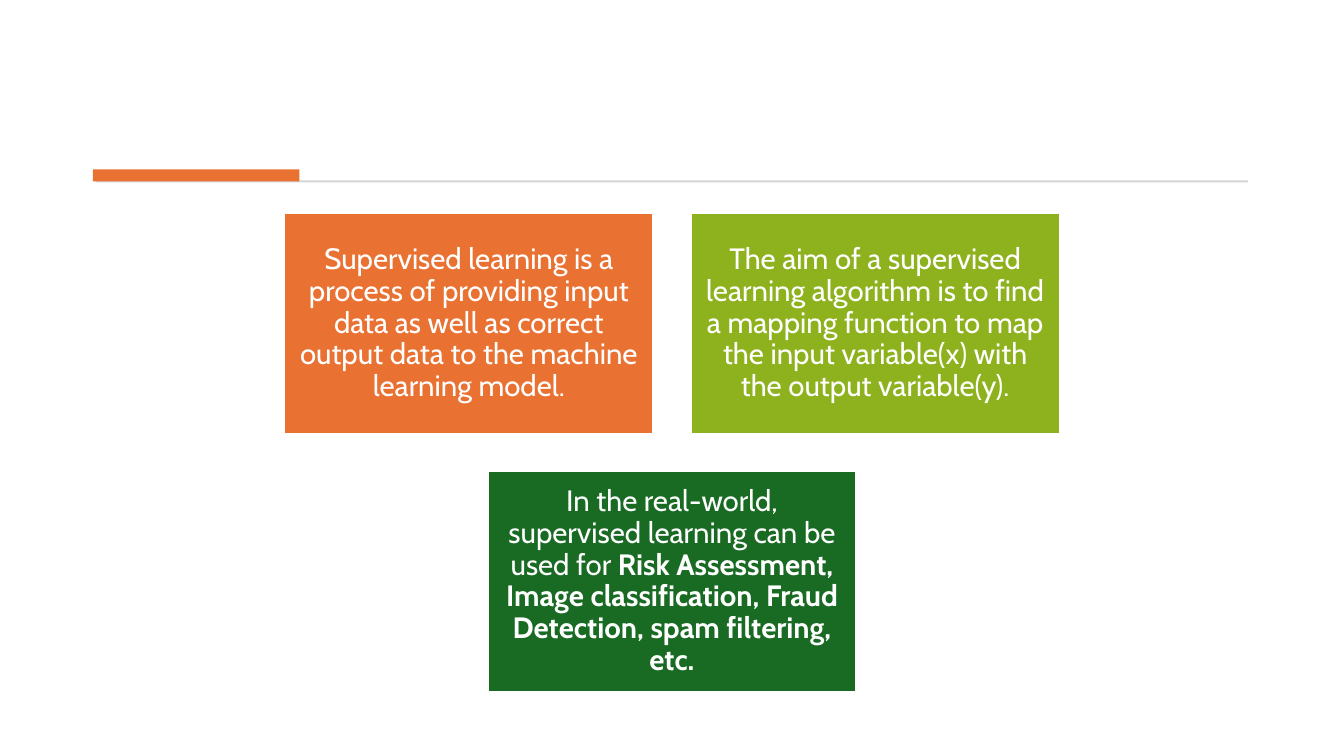
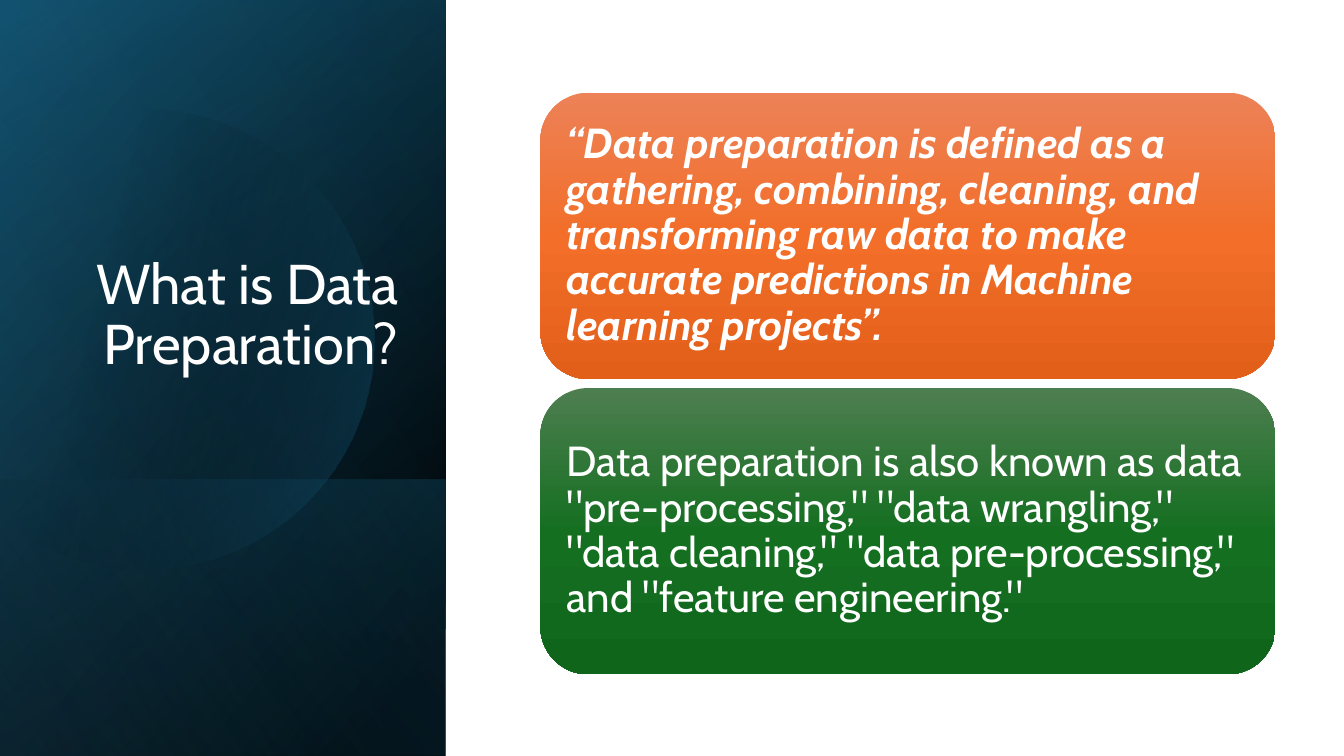
import math
from dataclasses import dataclass

from lxml import etree
from pptx import Presentation
from pptx.dml.color import RGBColor
from pptx.enum import shapes, text
from pptx.oxml import ns
from pptx.util import Inches, Pt

FONT = "Cabin"
COLORS = {
    "white": "FFFFFF", "black": "000000", "rule": "D5D5D5",
    "orange": "E97132", "lime": "8EB21E", "green": "196B24",
    "navy": "104862", "teal": "156082", "sky": "46B1E1",
    "orange_top": "ED8257", "orange_mid": "F26E29", "orange_low": "E25F1A",
    "green_top": "4D7E50", "green_mid": "156F21", "green_low": "0F661B",
}
SLIDE_WIDTH, SLIDE_HEIGHT = 13.33, 7.5
PANEL_WIDTH = 4.42
RECTANGLE = shapes.MSO_SHAPE.RECTANGLE
ROUNDED = shapes.MSO_SHAPE.ROUNDED_RECTANGLE


@dataclass(frozen=True)
class Stop:
    position: int
    color: str
    opacity: int = 100


@dataclass(frozen=True)
class Run:
    text: str
    bold: bool = False
    italic: bool = False


@dataclass(frozen=True)
class Card:
    color: str
    runs: tuple[Run, ...]


@dataclass(frozen=True)
class Band:
    top: float
    angle: float
    stops: tuple[Stop, ...]


CARD_ROWS = (
    (
        Card("orange", (Run("Supervised learning is a process of providing input data as "
                            "well as correct output data to the machine learning model."),)),
        Card("lime", (Run("The aim of a supervised learning algorithm is to find a mapping "
                          "function to map the input variable(x) with the output variable(y)."),)),
    ),
    (
        Card("green", (Run("In the real-world, supervised learning can be used for "),
                       Run("Risk Assessment, Image classification, Fraud Detection, "
                           "spam filtering, etc.", bold=True))),
    ),
)
DEFINITIONS = (
    Card("orange", (Run("“Data preparation is defined as a gathering, combining, cleaning, and "
                        "transforming raw data to make accurate predictions in Machine learning "
                        "projects”.", bold=True, italic=True),)),
    Card("green", (Run('Data preparation is also known as data "pre-processing," "data '
                       'wrangling," "data cleaning," "data pre-processing," and '
                       '"feature engineering."'),)),
)
BANDS_BELOW = (
    Band(0, 50, (Stop(8, "black"), Stop(100, "navy"))),
    Band(0, 30, (Stop(0, "black", 0), Stop(99, "teal", 46))),
    Band(4.76, 130, (Stop(2, "teal", 29), Stop(100, "black", 30))),
)
BAND_ABOVE = Band(0, 120, (Stop(0, "black", 0), Stop(99, "sky", 11)))


def rgb(name: str) -> RGBColor:
    return RGBColor.from_string(COLORS[name])


def add_box(slide, kind, left: float, top: float, width: float, height: float,
            color: str = "white"):
    shape = slide.shapes.add_shape(kind, Inches(left), Inches(top), Inches(width), Inches(height))
    shape.shadow.inherit = False
    shape.fill.solid()
    shape.fill.fore_color.rgb = rgb(color)
    shape.line.fill.background()
    return shape


def set_gradient(shape, stops: tuple[Stop, ...], angle: float) -> None:
    shape.fill.gradient()
    properties = shape._element.spPr
    gradient = etree.Element(ns.qn("a:gradFill"), rotWithShape="1")
    stop_list = etree.SubElement(gradient, ns.qn("a:gsLst"))
    for stop in stops:
        entry = etree.SubElement(stop_list, ns.qn("a:gs"), pos=str(stop.position * 1000))
        color = etree.SubElement(entry, ns.qn("a:srgbClr"), val=COLORS[stop.color])
        if stop.opacity < 100:
            etree.SubElement(color, ns.qn("a:alpha"), val=str(stop.opacity * 1000))
    etree.SubElement(gradient, ns.qn("a:lin"), ang=str(round(angle * 60000)), scaled="0")
    properties.replace(properties.find(ns.qn("a:gradFill")), gradient)


def write_text(shape, runs: tuple[Run, ...], size: int, align, anchor, margin: float) -> None:
    frame = shape.text_frame
    frame.word_wrap = True
    frame.vertical_anchor = anchor
    frame.margin_left = frame.margin_right = Inches(margin)
    frame.margin_top = frame.margin_bottom = Inches(margin)
    paragraph = frame.paragraphs[0]
    paragraph.alignment = align
    paragraph.line_spacing = 0.9
    for item in runs:
        run = paragraph.add_run()
        run.text = item.text
        run.font.name = FONT
        run.font.size = Pt(size)
        run.font.bold = item.bold
        run.font.italic = item.italic
        run.font.color.rgb = rgb("white")


def add_band(slide, band: Band) -> None:
    """Add a panel-wide band, turned a quarter and mirrored, down to the slide's foot."""
    length = SLIDE_HEIGHT - band.top
    left = (PANEL_WIDTH - length) / 2
    top = band.top + (length - PANEL_WIDTH) / 2
    shape = add_box(slide, RECTANGLE, left, top, length, PANEL_WIDTH)
    shape.rotation = 90
    shape._element.spPr.find(ns.qn("a:xfrm")).set("flipH", "1")
    set_gradient(shape, band.stops, band.angle)


def add_disc(slide) -> None:
    """Add the translucent disc, cut off at the slide's left edge."""
    center_x, center_y, radius = 1.43, 3.37, 2.28
    limit = math.acos(-center_x / radius)
    steps = 120
    angles = [limit * (2 * step / steps - 1) for step in range(steps + 1)]
    points = [(Inches(center_x + radius * math.cos(angle)),
               Inches(center_y + radius * math.sin(angle))) for angle in angles]
    builder = slide.shapes.build_freeform(*points[0])
    builder.add_line_segments(points[1:], close=True)
    shape = builder.convert_to_shape()
    shape.shadow.inherit = False
    shape.line.fill.background()
    set_gradient(shape, (Stop(29, "black", 0), Stop(100, "teal", 43)), 13.9)


def build_supervised_learning(slide) -> None:
    # Header rule with its accent
    add_box(slide, RECTANGLE, 0.95, 1.79, 11.43, 0.02, "rule")
    add_box(slide, RECTANGLE, 0.92, 1.68, 2.05, 0.12, "orange")

    # Centred rows of cards
    width, height, gap = 3.66, 2.2, 0.37
    for row, cards in enumerate(CARD_ROWS):
        row_width = len(cards) * (width + gap) - gap
        for column, card in enumerate(cards):
            left = (SLIDE_WIDTH - row_width) / 2 + column * (width + gap)
            shape = add_box(slide, RECTANGLE, left, 2.11 + row * 2.56, width, height, card.color)
            shape.line.color.rgb = rgb("white")
            shape.line.width = Pt(1.5)
            write_text(shape, card.runs, 21, text.PP_ALIGN.CENTER, text.MSO_ANCHOR.MIDDLE, 0.09)


def build_data_preparation(slide) -> None:
    # Dark side panel
    for band in BANDS_BELOW:
        add_band(slide, band)
    add_disc(slide)
    add_band(slide, BAND_ABOVE)

    # Title
    title = slide.shapes.add_textbox(Inches(0.64), Inches(1.84), Inches(3.41), Inches(2))
    write_text(title, (Run("What is Data Preparation?"),), 40,
               text.PP_ALIGN.RIGHT, text.MSO_ANCHOR.BOTTOM, 0.1)

    # Definitions
    for row, card in enumerate(DEFINITIONS):
        shape = add_box(slide, ROUNDED, 5.36, 0.92 + row * 2.93, 7.29, 2.84)
        stops = tuple(Stop(position, f"{card.color}_{part}")
                      for position, part in ((0, "top"), (50, "mid"), (100, "low")))
        set_gradient(shape, stops, 90)
        write_text(shape, card.runs, 30, text.PP_ALIGN.LEFT, text.MSO_ANCHOR.MIDDLE, 0.12)


def main() -> None:
    presentation = Presentation()
    presentation.slide_width = Inches(SLIDE_WIDTH)
    presentation.slide_height = Inches(SLIDE_HEIGHT)
    blank = presentation.slide_layouts[6]
    for build in (build_supervised_learning, build_data_preparation):
        build(presentation.slides.add_slide(blank))
    presentation.save("out.pptx")


if __name__ == "__main__":
    main()
